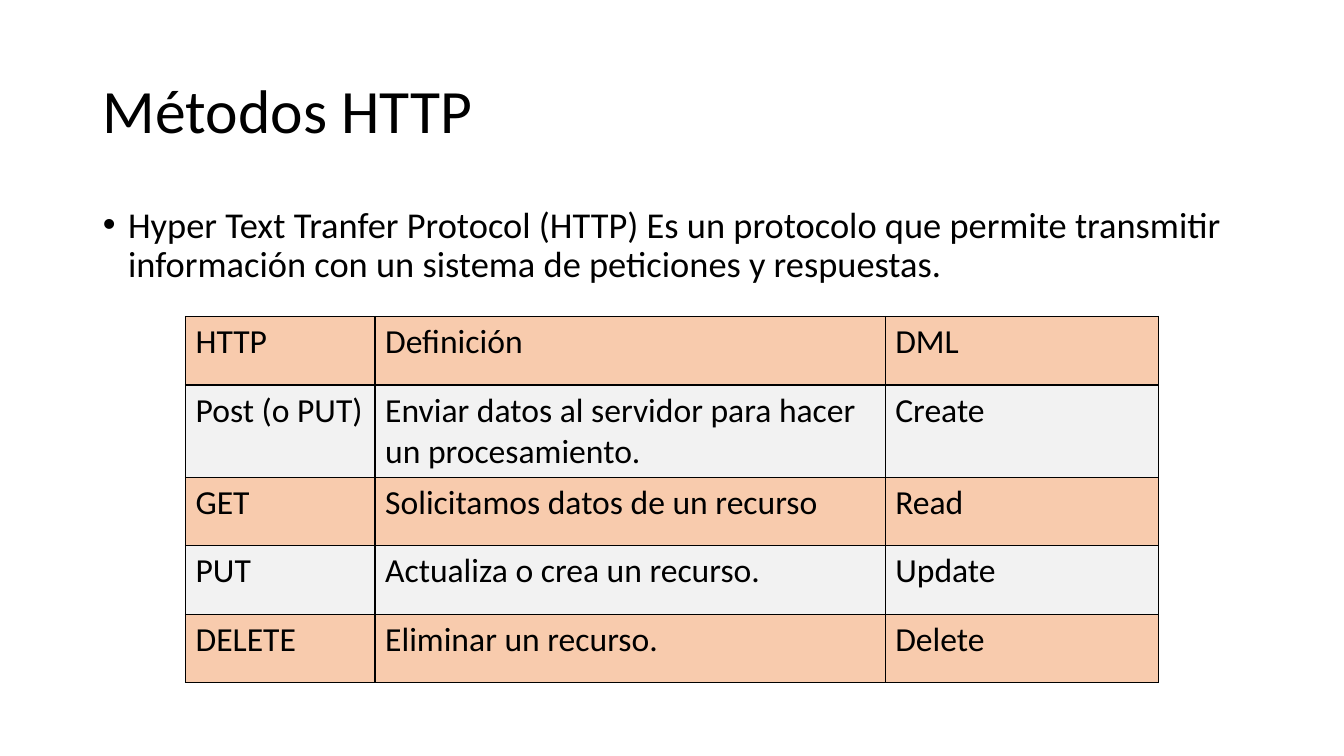
from dataclasses import dataclass

from lxml import etree
from pptx import Presentation
from pptx.dml.color import RGBColor
from pptx.enum.text import MSO_ANCHOR, MSO_AUTO_SIZE, PP_ALIGN
from pptx.oxml.ns import qn
from pptx.util import Inches, Pt

LEFT = PP_ALIGN.LEFT
TOP = MSO_ANCHOR.TOP
MIDDLE = MSO_ANCHOR.MIDDLE
NO_AUTOFIT = MSO_AUTO_SIZE.NONE


@dataclass(frozen=True)
class Theme:
    font: str = "Calibri"
    ink: str = "000000"
    peach: str = "F8CBAD"
    gray: str = "F2F2F2"
    title_size: int = 44
    body_size: int = 26
    table_size: int = 24
    border_width: int = 1


THEME = Theme()

METHODS = [
    ("HTTP", "Definición", "DML"),
    ("Post (o PUT)", "Enviar datos al servidor para hacer un procesamiento.", "Create"),
    ("GET", "Solicitamos datos de un recurso", "Read"),
    ("PUT", "Actualiza o crea un recurso.", "Update"),
    ("DELETE", "Eliminar un recurso.", "Delete"),
]
COLUMN_WIDTHS = (1.88, 5.06, 2.71)
ROW_HEIGHT = 0.68


def write_text(text_frame, text, size, line_spacing=None, space_before=0):
    paragraph = text_frame.paragraphs[0]
    paragraph.alignment = LEFT
    paragraph.space_before = Pt(space_before)
    if line_spacing:
        paragraph.line_spacing = line_spacing
    run = paragraph.add_run()
    run.text = text
    run.font.name = THEME.font
    run.font.size = Pt(size)
    run.font.color.rgb = RGBColor.from_string(THEME.ink)
    return paragraph


def place(shape, box, anchor):
    shape.left, shape.top, shape.width, shape.height = (Inches(length) for length in box)
    text_frame = shape.text_frame
    text_frame.word_wrap = True
    text_frame.auto_size = NO_AUTOFIT
    text_frame.vertical_anchor = anchor
    return text_frame


def add_title(slide, box, text):
    text_frame = place(slide.shapes.title, box, MIDDLE)
    write_text(text_frame, text, THEME.title_size, line_spacing=0.9)


def add_bullet(slide, box, text):
    text_frame = place(slide.placeholders[1], box, TOP)
    paragraph = write_text(
        text_frame, text, THEME.body_size, line_spacing=0.9, space_before=10
    )
    properties = paragraph._p.get_or_add_pPr()
    properties.set("marL", str(Inches(0.25)))
    properties.set("indent", str(Inches(-0.25)))
    etree.SubElement(properties, qn("a:buFont")).set("typeface", "Arial")
    etree.SubElement(properties, qn("a:buChar")).set("char", "•")


def add_borders(cell):
    properties = cell._tc.get_or_add_tcPr()
    for side in ("lnL", "lnR", "lnT", "lnB"):
        line = etree.SubElement(properties, qn(f"a:{side}"))
        line.set("w", str(Pt(THEME.border_width)))
        fill = etree.SubElement(line, qn("a:solidFill"))
        etree.SubElement(fill, qn("a:srgbClr")).set("val", THEME.ink)


def add_methods_table(slide, box, rows):
    frame = slide.shapes.add_table(
        len(rows), len(COLUMN_WIDTHS), *(Inches(length) for length in box)
    )
    table = frame.table
    for column, width in zip(table.columns, COLUMN_WIDTHS):
        column.width = Inches(width)
    for row_index, texts in enumerate(rows):
        table.rows[row_index].height = Inches(ROW_HEIGHT)
        color = THEME.gray if row_index % 2 else THEME.peach
        for column_index, text in enumerate(texts):
            cell = table.cell(row_index, column_index)
            add_borders(cell)
            cell.fill.solid()
            cell.fill.fore_color.rgb = RGBColor.from_string(color)
            write_text(cell.text_frame, text, THEME.table_size)


def main():
    presentation = Presentation()
    presentation.slide_width = Inches(13.33)
    presentation.slide_height = Inches(7.5)
    slide = presentation.slides.add_slide(presentation.slide_layouts[1])
    add_title(slide, (0.92, 0.4, 11.5, 1.45), "Métodos HTTP")
    add_methods_table(
        slide, (1.84, 3.14, sum(COLUMN_WIDTHS), ROW_HEIGHT * len(METHODS)), METHODS
    )
    add_bullet(
        slide,
        (0.92, 2, 11.5, 0.99),
        "Hyper Text Tranfer Protocol (HTTP) Es un protocolo que permite transmitir "
        "información con un sistema de peticiones y respuestas.",
    )
    presentation.save("out.pptx")


if __name__ == "__main__":
    main()
